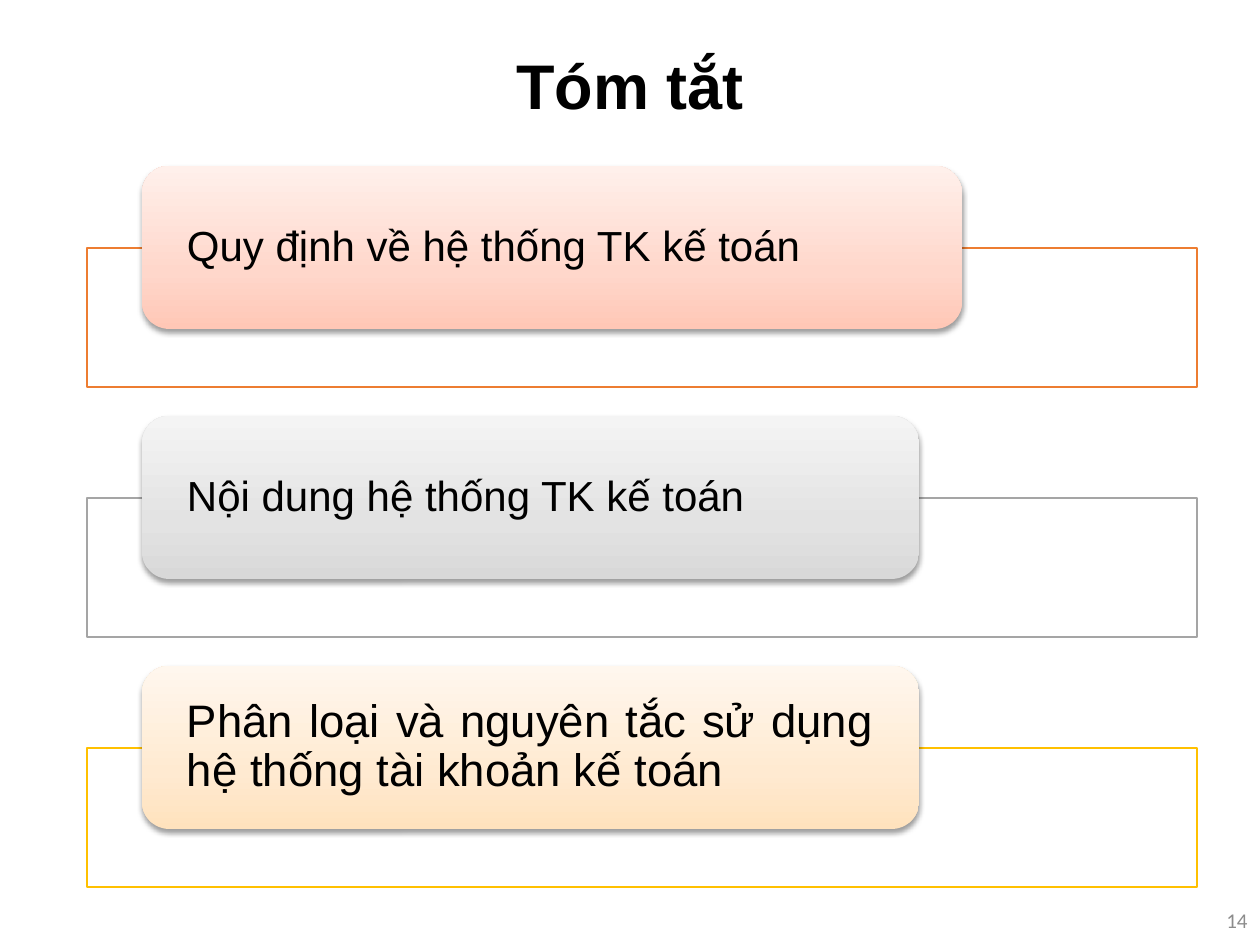
from copy import deepcopy

from lxml import etree
from pptx import Presentation
from pptx.dml.color import RGBColor
from pptx.enum.shapes import MSO_SHAPE
from pptx.enum.text import MSO_ANCHOR, MSO_AUTO_SIZE, PP_ALIGN
from pptx.oxml import parse_xml
from pptx.oxml.ns import qn
from pptx.util import Pt

PX = 914400 / 126
RECTANGLE, ROUNDED = MSO_SHAPE.RECTANGLE, MSO_SHAPE.ROUNDED_RECTANGLE
MIDDLE, NO_FIT = MSO_ANCHOR.MIDDLE, MSO_AUTO_SIZE.NONE
CENTER, RIGHT, JUSTIFY = PP_ALIGN.CENTER, PP_ALIGN.RIGHT, PP_ALIGN.JUSTIFY

ROW_PITCH = 250
TOPICS = [
    ("Quy định về hệ thống TK kế toán", 24, 820, "ED7D31", ("FFC7B6", "FFD7CB", "FFF0EB")),
    ("Nội dung hệ thống TK kế toán", 24, 777, "A5A5A5", ("D8D8D8", "E3E3E3", "F4F4F4")),
    ("Phân loại và nguyên tắc sử dụng hệ thống tài khoản kế toán", 26, 777, "FFC000",
     ("FFE2BD", "FFEAD1", "FFF7EE")),
]
STOP_POSITIONS = (0, 0.35, 1)
SHADOW = (
    '<a:outerShdw xmlns:a="http://schemas.openxmlformats.org/drawingml/2006/main" '
    'blurRad="40000" dist="20000" dir="5400000" rotWithShape="0">'
    '<a:srgbClr val="000000"><a:alpha val="38000"/></a:srgbClr></a:outerShdw>'
)


def px(*lengths):
    """Turn pixel lengths into a list of EMU."""
    return [round(length * PX) for length in lengths]


def color(value):
    """Turn a hex string into a colour."""
    return RGBColor.from_string(value)


def assign(target, values):
    """Set each attribute of a target from a dict."""
    for name, value in values.items():
        setattr(target, name, value)


def write(box, text, font, hex_color="000000", side_inset=None, **layout):
    """Put one formatted paragraph in a box."""
    frame = box.text_frame
    assign(frame, {"word_wrap": True, "auto_size": NO_FIT, "vertical_anchor": MIDDLE})
    if side_inset is not None:
        inset = px(side_inset)[0]
        assign(frame, {"margin_left": inset, "margin_right": inset,
                       "margin_top": 0, "margin_bottom": 0})
    para = frame.paragraphs[0]
    assign(para, layout)
    span = para.add_run()
    span.text = text
    assign(span.font, font)
    span.font.color.rgb = color(hex_color)


def add_title(page, text):
    """Fill and place the title, and remove the unused subtitle."""
    title, subtitle = page.placeholders
    subtitle.element.getparent().remove(subtitle.element)
    assign(title, dict(zip(("left", "top", "width", "height"), px(87, 19, 1086, 140))))
    write(title, text, {"size": Pt(36), "name": "Arial", "bold": True},
          alignment=CENTER, line_spacing=0.9)


def add_frame(page, top, line_color):
    """Draw the outlined rectangle behind a card."""
    frame = page.shapes.add_shape(RECTANGLE, *px(87, top, 1110, 139))
    frame.shadow.inherit = False
    frame.fill.solid()
    frame.fill.fore_color.rgb = color("FFFFFF")
    fill_color = frame.element.spPr.find(qn("a:solidFill")).find(qn("a:srgbClr"))
    etree.SubElement(fill_color, qn("a:alpha"), val="90000")
    frame.line.color.rgb = color(line_color)
    frame.line.width = Pt(0.75)


def add_card(page, top, width, text, size, shades):
    """Draw a rounded card with a three-stop gradient, a shadow and text."""
    card = page.shapes.add_shape(ROUNDED, *px(142, top, width, 163))
    card.line.fill.background()
    card.fill.gradient()
    card.fill.gradient_angle = 90
    stops = card.element.spPr.find(qn("a:gradFill")).find(qn("a:gsLst"))
    stops.append(deepcopy(stops[-1]))
    for stop, shade, position in zip(card.fill.gradient_stops, shades, STOP_POSITIONS):
        stop.color.rgb = color(shade)
        stop.position = position
    card.shadow.inherit = False
    card.element.spPr.find(qn("a:effectLst")).append(parse_xml(SHADOW))
    write(card, text, {"size": Pt(size), "name": "Arial"}, side_inset=37,
          alignment=JUSTIFY, line_spacing=0.9)


def add_page_number(page, number):
    """Write the page number in the bottom right corner."""
    box = page.shapes.add_textbox(*px(977, 895, 283, 50))
    write(box, number, {"size": Pt(12), "name": "Calibri"}, "8C8C8C",
          alignment=RIGHT, space_after=Pt(6))


def main():
    """Build the summary slide and save it."""
    deck = Presentation()
    deck.slide_width, deck.slide_height = px(1260, 945)
    page = deck.slides.add_slide(deck.slide_layouts[0])
    add_title(page, "Tóm tắt")
    add_page_number(page, "14")
    for row, (text, size, width, line_color, shades) in enumerate(TOPICS):
        offset = row * ROW_PITCH
        add_frame(page, 248 + offset, line_color)
        add_card(page, 166 + offset, width, text, size, shades)
    deck.save("out.pptx")


if __name__ == "__main__":
    main()
